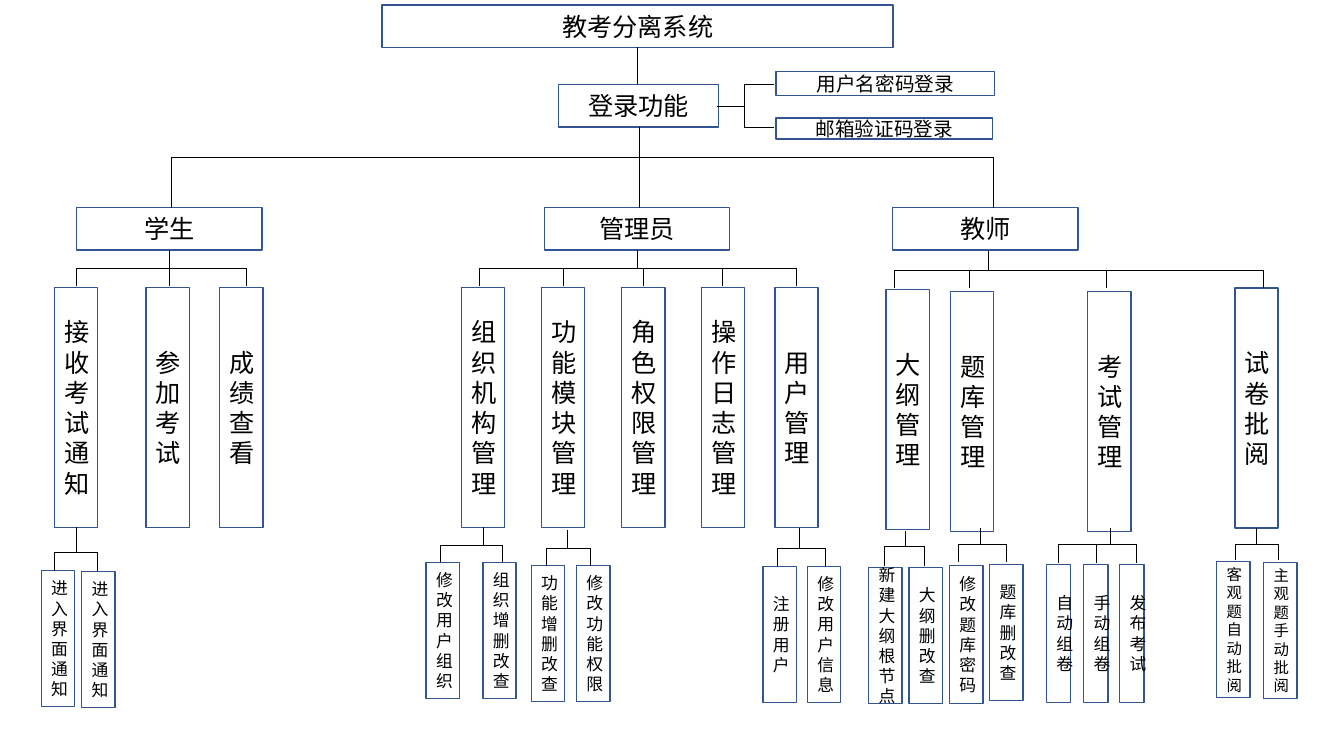
from lxml import etree
from pptx import Presentation
from pptx.dml.color import RGBColor
from pptx.enum.shapes import MSO_CONNECTOR, MSO_SHAPE
from pptx.enum.text import MSO_ANCHOR, MSO_AUTO_SIZE, PP_ALIGN
from pptx.oxml.ns import qn
from pptx.util import Cm, Pt

# Content: text and position, all lengths in centimetres
TITLE = ("教考分离系统", 9.63, 0.13, 12.88, 1.07)
LOGIN = ("登录功能", 14.07, 2.13, 4.04, 1.07)
LOGIN_WAYS = [
    ("用户名密码登录", 19.56, 1.8, 5.51, 0.61),
    ("邮箱验证码登录", 19.56, 2.97, 5.46, 0.53),
]
ROLES = [("学生", 1.93), ("管理员", 13.72), ("教师", 22.5)]  # text, left

# Modules: text, left, top
MODULES = [
    ("接收考试通知", 1.37, 7.24),
    ("参加考试", 3.68, 7.24),
    ("成绩查看", 5.54, 7.24),
    ("组织机构管理", 11.63, 7.24),
    ("功能模块管理", 13.64, 7.24),
    ("角色权限管理", 15.67, 7.24),
    ("操作日志管理", 17.68, 7.24),
    ("用户管理", 19.53, 7.24),
    ("大纲管理", 22.33, 7.29),
    ("题库管理", 23.95, 7.34),
    ("考试管理", 27.41, 7.34),
    ("试卷批阅", 31.12, 7.26),
]

# Functions: size, width, height, then (text, left, top)
FUNCTIONS = [
    (12, 0.84, 3.43, [
        ("进入界面通知", 1.04, 14.38), ("进入界面通知", 2.06, 14.4),
        ("修改用户组织", 10.74, 14.17), ("组织增删改查", 12.17, 14.17),
        ("功能增删改查", 13.39, 14.25), ("修改功能权限", 14.53, 14.25),
        ("注册用户", 19.23, 14.27), ("修改用户信息", 20.35, 14.27),
        ("新建大纲根节点", 21.89, 14.3), ("大纲删改查", 22.91, 14.3),
        ("题库删改查", 24.94, 14.22),
    ]),
    (12, 0.84, 3.48, [("修改题库密码", 23.93, 14.25)]),
    (12, 0.61, 3.48, [
        ("自动组卷", 26.37, 14.22), ("手动组卷", 27.31, 14.22),
        ("发布考试", 28.22, 14.22),
    ]),
    (11, 0.84, 3.43, [
        ("客观题自动批阅", 30.66, 14.15), ("主观题手动批阅", 31.85, 14.17),
    ]),
]

# Forks: stem x, stem top, bar y, branch bottom, branch x positions
FORKS = [
    (16.1, 3.2, 3.96, 5.23, [4.32, 16.1, 25.04]),
    (4.27, 6.3, 6.76, 7.21, [1.93, 4.27, 6.2]),
    (16.05, 6.3, 6.76, 7.21, [12.09, 14.2, 16.21, 18.21, 20.07]),
    (24.92, 6.32, 6.81, 7.26, [22.53, 24.43, 27.89, 31.85]),
    (1.93, 13.28, 13.92, 14.38, [1.37, 2.46]),
    (12.17, 13.28, 13.74, 14.17, [11.1, 12.67]),
    (14.3, 13.36, 13.82, 14.25, [13.77, 14.88]),
    (20.14, 13.31, 13.82, 14.27, [19.58, 20.8]),
    (22.81, 13.39, 13.77, 14.25, [22.28, 23.29]),
    (24.71, 13.31, 13.72, 14.17, [24.16, 25.37]),
    (27.97, 13.31, 13.72, 14.18, [26.67, 27.64, 28.63]),
    (31.67, 13.31, 13.72, 14.1, [31.12, 32.21]),
]

FONT = "Noto Sans CJK SC"
BLUE = RGBColor(0x32, 0x54, 0x91)
BLACK = RGBColor(0, 0, 0)
LINE_HEIGHT = 1.2
FRAME = {"word_wrap": True, "auto_size": MSO_AUTO_SIZE.NONE,
         "vertical_anchor": MSO_ANCHOR.MIDDLE}

prs = Presentation()
prs.slide_width, prs.slide_height = Cm(33.87), Cm(19.05)
slide = prs.slides.add_slide(prs.slide_layouts[5])


def set_all(obj, values):
    for name, value in values.items():
        setattr(obj, name, value)


def format_box(sp, text, size):
    sp.fill.background()
    sp.line.color.rgb = BLUE
    sp.line.width = Pt(1)
    tf = sp.text_frame
    set_all(tf, FRAME)
    p = tf.paragraphs[0]
    set_all(p, {"alignment": PP_ALIGN.CENTER, "space_before": Pt(0),
                "line_spacing": Pt(size * LINE_HEIGHT)})
    r = p.add_run()
    r.text = text
    set_all(r.font, {"name": FONT, "size": Pt(size)})
    r.font.color.rgb = BLACK
    etree.SubElement(r.font._element, qn("a:ea"), typeface=FONT)


def add_box(text, left, top, width, height, size=18):
    sp = slide.shapes.add_shape(MSO_SHAPE.RECTANGLE, Cm(left), Cm(top),
                                Cm(width), Cm(height))
    sp.shadow.inherit = False
    format_box(sp, text, size)


def add_line(x1, y1, x2, y2):
    line = slide.shapes.add_connector(MSO_CONNECTOR.STRAIGHT, Cm(x1), Cm(y1),
                                      Cm(x2), Cm(y2))
    line.line.color.rgb = BLACK
    line.line.width = Pt(0.5)
    etree.SubElement(line._element.spPr, qn("a:effectLst"))


# Title
title = slide.shapes.title
text, left, top, width, height = TITLE
set_all(title, {"left": Cm(left), "top": Cm(top),
                "width": Cm(width), "height": Cm(height)})
format_box(title, text, 18)

# Login and its two ways
add_line(16.05, 1.19, 16.05, 2.13)
add_box(*LOGIN)
add_line(18.08, 2.67, 18.75, 2.67)
add_line(18.75, 2.13, 18.75, 3.2)
for y in (2.13, 3.2):
    add_line(18.75, y, 19.51, y)
for way in LOGIN_WAYS:
    add_box(*way, size=14)

# Roles, modules and functions
for text, left in ROLES:
    add_box(text, left, 5.23, 4.67, 1.07)
for module in MODULES:
    add_box(*module, 1.09, 6.05)
for size, width, height, functions in FUNCTIONS:
    for function in functions:
        add_box(*function, width, height, size)

# Forks between the levels
for stem, top, bar, bottom, branches in FORKS:
    add_line(stem, top, stem, bar)
    add_line(min(branches), bar, max(branches), bar)
    for x in branches:
        add_line(x, bar, x, bottom)

prs.save("out.pptx")
